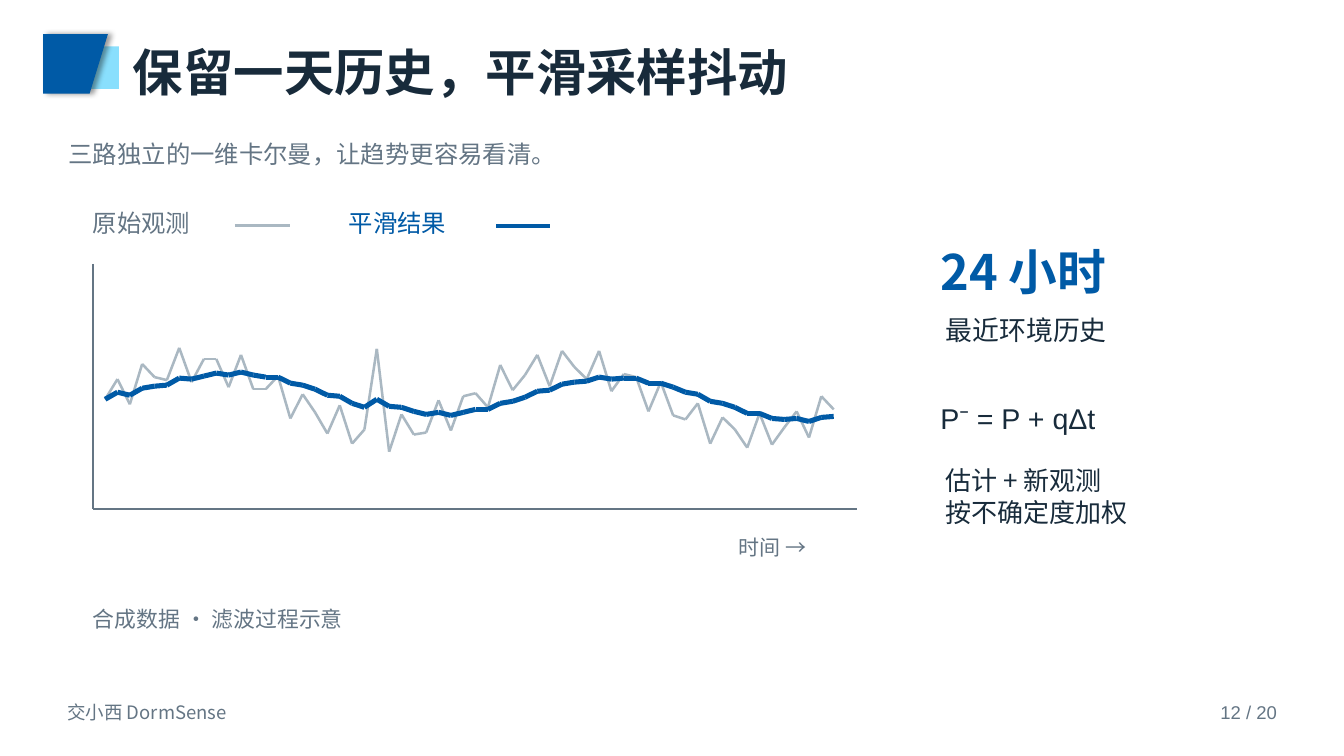
from dataclasses import dataclass
from itertools import pairwise

from lxml.etree import SubElement
from pptx import Presentation
from pptx.dml.color import RGBColor
from pptx.enum.shapes import MSO_CONNECTOR as Connector, MSO_SHAPE as Shape
from pptx.enum.text import PP_ALIGN as Align
from pptx.oxml.ns import qn
from pptx.util import Cm, Pt

COLORS = {
    "blue": "005AA6",
    "sky": "89DFFD",
    "ink": "182B3B",
    "muted": "647584",
    "raw": "AAB8C2",
    "black": "000000",
}
CJK_FONT = "Noto Sans CJK SC"
LINE_RATIO = 1.25

# Plot geometry in centimetres; levels are steps above the time axis
AXIS_LEFT, AXIS_RIGHT = 2.34, 21.59
AXIS_TOP, AXIS_BOTTOM = 6.65, 12.83
FIRST_X, LAST_X = 2.65, 21.01
LEVEL_STEP = 2.54 / 100


@dataclass
class Label:
    text: str
    left: float
    top: float
    width: float
    height: float
    size: float
    color: str = "muted"
    font: str = CJK_FONT
    bold: bool = False
    align: Align = Align.LEFT


@dataclass
class Rule:
    x1: float
    y1: float
    x2: float
    y2: float
    color: str
    width: float


@dataclass
class Series:
    color: str
    width: float
    levels: list[int]


LABELS = [
    Label("保留一天历史，平滑采样抖动", 3.35, 0.97, 28.78, 1.83, 36, "ink", bold=True),
    Label("三路独立的一维卡尔曼，让趋势更容易看清。", 1.73, 3.48, 30.05, 1.02, 17.4),
    Label("原始观测", AXIS_LEFT, 5.21, 5.28, 1.02, 17.4),
    Label("平滑结果", 8.79, 5.21, 5.28, 1.02, 17.4, "blue"),
    Label("时间 →", 18.62, 13.44, 3.81, 0.91, 15),
    Label("合成数据 · 滤波过程示意", AXIS_LEFT, 15.24, 19.05, 0.94, 15.6),
    Label("24 小时", 23.7, 6.02, 8.46, 1.78, 34.8, "blue", bold=True),
    Label("最近环境历史", 23.83, 7.87, 8.26, 1.09, 19.2, "ink"),
    Label("P⁻ = P + qΔt", 23.7, 10.08, 8.46, 1.14, 20.4, "ink", "Arial"),
    Label("估计 + 新观测\n按不确定度加权", 23.83, 11.66, 8.26, 1.9, 18.6, "ink"),
    Label("交小西 DormSense", 1.7, 17.65, 14.81, 0.84, 13.2),
    Label("12 / 20", 29.64, 17.65, 2.54, 0.84, 13.2, font="Arial", align=Align.RIGHT),
]

AXES = [
    Rule(AXIS_LEFT, AXIS_BOTTOM, AXIS_RIGHT, AXIS_BOTTOM, "muted", 1.8),
    Rule(AXIS_LEFT, AXIS_TOP, AXIS_LEFT, AXIS_BOTTOM, "muted", 1.8),
]
LEGEND_KEYS = [
    Rule(5.92, 5.69, 7.32, 5.69, "raw", 2.4),
    Rule(12.5, 5.69, 13.87, 5.69, "blue", 3),
]

OBSERVED = Series("raw", 1.8, [
    109, 129, 104, 144, 131, 128, 160, 126, 149, 149, 121, 153, 119, 119, 132,
    90, 114, 96, 75, 103, 65, 79, 159, 57, 94, 74, 76, 108, 78, 112,
    115, 101, 143, 118, 133, 153, 122, 157, 141, 129, 157, 117, 134, 131, 97,
    126, 93, 89, 105, 65, 91, 79, 61, 95, 64, 81, 97, 71, 112, 99,
])
SMOOTHED = Series("blue", 3.6, [
    109, 116, 113, 120, 122, 123, 130, 129, 132, 135, 133, 136, 133, 131, 131,
    125, 123, 119, 113, 112, 105, 101, 109, 102, 101, 97, 94, 96, 93, 96,
    99, 99, 105, 107, 111, 117, 118, 124, 126, 127, 131, 129, 130, 130, 125,
    125, 121, 116, 114, 107, 105, 101, 95, 95, 90, 89, 90, 87, 91, 92,
])


def rgb(name: str) -> RGBColor:
    return RGBColor.from_string(COLORS[name])


def fill_plain(shape, color: str) -> None:
    shape.shadow.inherit = False
    shape.fill.solid()
    shape.fill.fore_color.rgb = rgb(color)
    shape.line.fill.background()


def draw_title_mark(slide) -> None:
    back = slide.shapes.add_shape(Shape.RECTANGLE, Cm(1.75), Cm(1.17), Cm(1.25), Cm(1.07))
    fill_plain(back, "sky")

    builder = slide.shapes.build_freeform(Cm(1.09), Cm(0.86))
    corners = [(2.72, 0.86), (2.26, 2.36), (1.09, 2.36)]
    builder.add_line_segments([(Cm(x), Cm(y)) for x, y in corners], close=True)
    front = builder.convert_to_shape()
    fill_plain(front, "blue")

    # Soft shadow cast to the right
    effects = front._element.spPr.find(qn("a:effectLst"))
    shadow = SubElement(effects, qn("a:outerShdw"), blurRad=str(Pt(4)),
                        dist=str(Pt(3)), dir="0", algn="l", rotWithShape="0")
    color = SubElement(shadow, qn("a:srgbClr"), val=COLORS["black"])
    SubElement(color, qn("a:alpha"), val="40000")


def draw_label(slide, label: Label) -> None:
    box = slide.shapes.add_textbox(
        Cm(label.left), Cm(label.top), Cm(label.width), Cm(label.height))
    frame = box.text_frame
    frame.word_wrap = True
    frame.margin_left = frame.margin_right = frame.margin_top = frame.margin_bottom = 0
    frame.text = label.text
    for paragraph in frame.paragraphs:
        paragraph.alignment = label.align
        paragraph.line_spacing = Pt(label.size * LINE_RATIO)
        font = paragraph.font
        font.size = Pt(label.size)
        font.bold = label.bold
        font.color.rgb = rgb(label.color)
        font.name = label.font
        SubElement(font._element, qn("a:ea"), typeface=label.font)


def draw_rule(slide, rule: Rule) -> None:
    connector = slide.shapes.add_connector(
        Connector.STRAIGHT, Cm(rule.x1), Cm(rule.y1), Cm(rule.x2), Cm(rule.y2))
    connector.line.color.rgb = rgb(rule.color)
    connector.line.width = Pt(rule.width)
    SubElement(connector._element.spPr, qn("a:effectLst"))


def draw_series(slide, series: Series) -> None:
    step = (LAST_X - FIRST_X) / (len(series.levels) - 1)
    points = [(FIRST_X + index * step, AXIS_BOTTOM - level * LEVEL_STEP)
              for index, level in enumerate(series.levels)]
    for start, end in pairwise(points):
        draw_rule(slide, Rule(*start, *end, series.color, series.width))


def main() -> None:
    presentation = Presentation()
    presentation.slide_width = Cm(33.87)
    presentation.slide_height = Cm(19.05)
    slide = presentation.slides.add_slide(presentation.slide_layouts[6])

    draw_title_mark(slide)

    # Plot
    for rule in AXES:
        draw_rule(slide, rule)
    for series in (OBSERVED, SMOOTHED):
        draw_series(slide, series)
    for rule in LEGEND_KEYS:
        draw_rule(slide, rule)

    # Text
    for label in LABELS:
        draw_label(slide, label)

    presentation.save("out.pptx")


if __name__ == "__main__":
    main()
